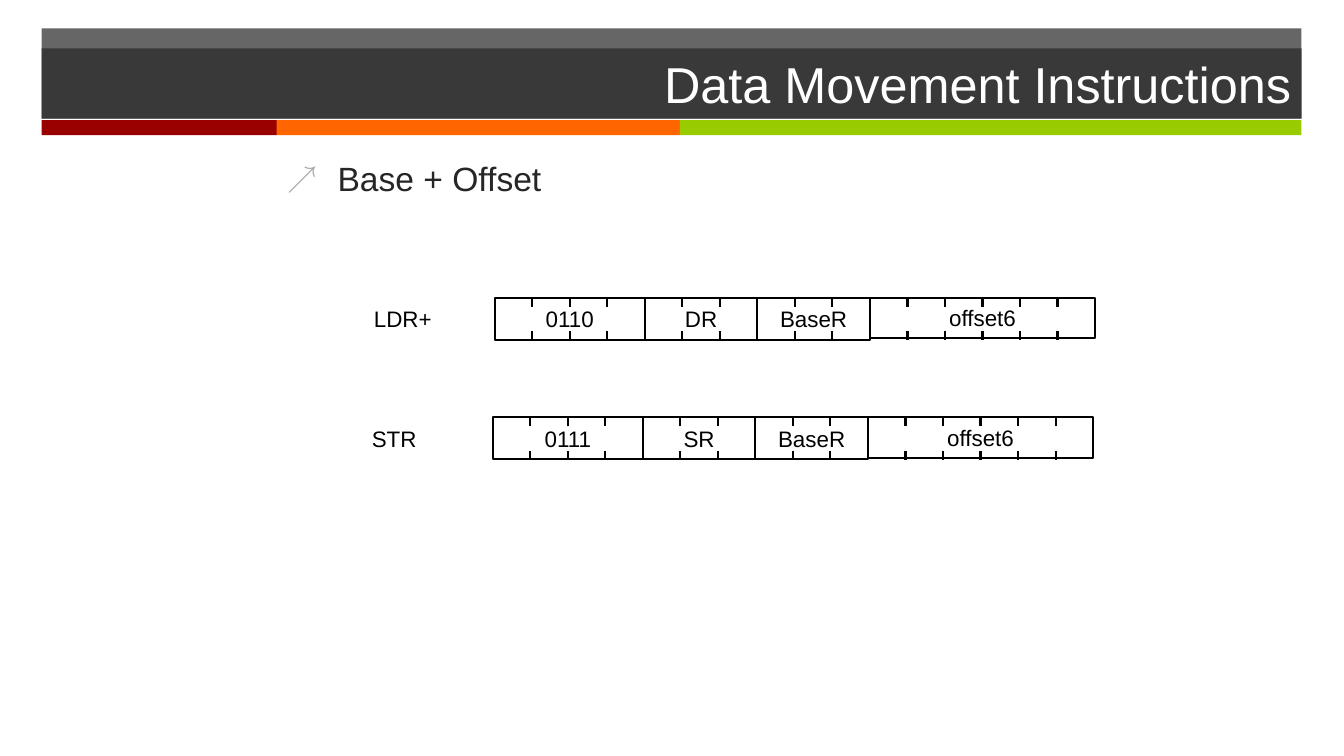
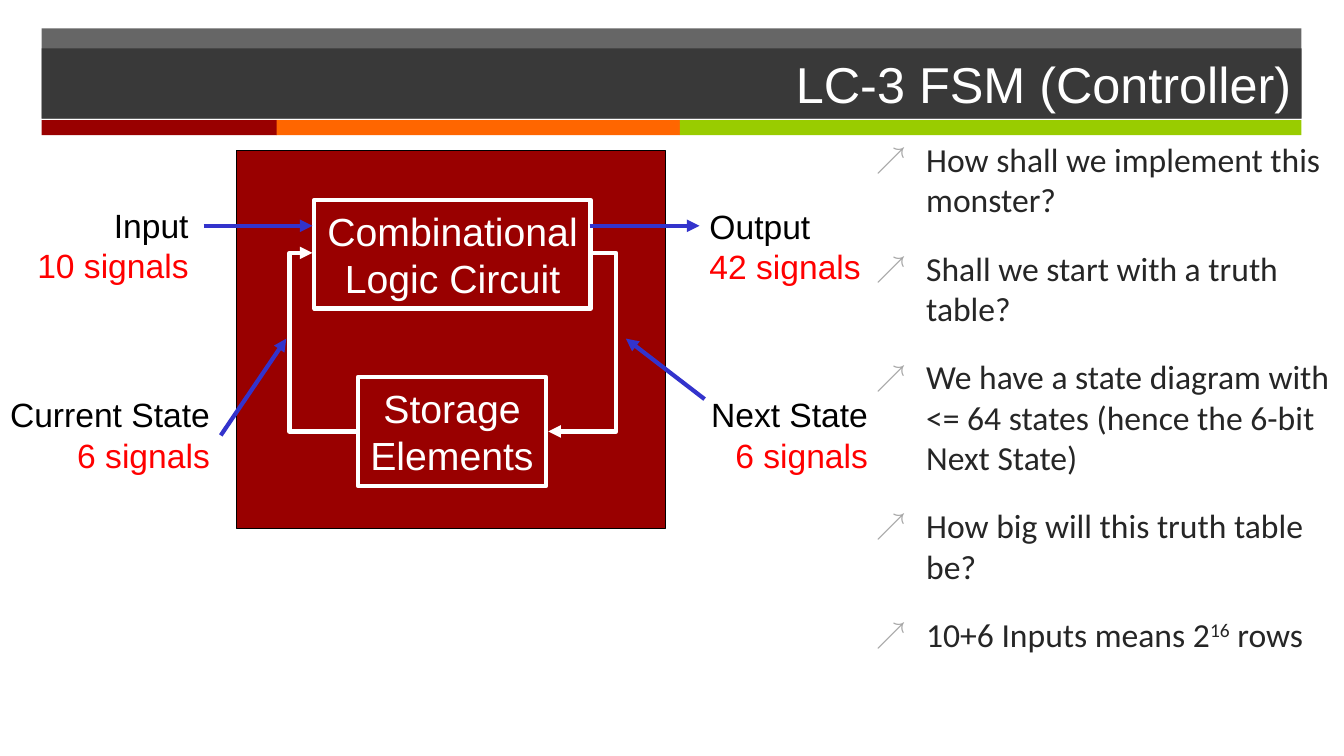
from itertools import accumulate

from pptx import Presentation
from pptx.dml.color import RGBColor
from pptx.enum.shapes import MSO_CONNECTOR as Link, MSO_SHAPE as Preset
from pptx.enum.text import MSO_ANCHOR as Anchor, PP_ALIGN as Align
from pptx.oxml.ns import qn
from pptx.util import Pt
from lxml.etree import SubElement

DARK = RGBColor(0x26, 0x26, 0x26)
MAROON = RGBColor(0x99, 0x00, 0x00)
ORANGE = RGBColor(0xFF, 0x66, 0x00)
GREEN = RGBColor(0x99, 0xCC, 0x00)
BLACK = RGBColor(0x00, 0x00, 0x00)
WHITE = RGBColor(0xFF, 0xFF, 0xFF)
RED = RGBColor(0xFF, 0x00, 0x00)
BLUE = RGBColor(0x33, 0x33, 0xCC)
BULLET_GRAY = "A6A6A6"

# Content: boxes are (left, top, width, height) in points
TITLE_BOX = (29.7, 34.5, 900, 50.2)
TOP_BAND = (29.7, 20.3, 900, 64.4)
STRIPES = [(MAROON, 168), (ORANGE, 288), (GREEN, 444)]

MOVEMENT_TITLE = "Data Movement Instructions"
MOVEMENT_POINTS = ["Base + Offset"]
INSTRUCTIONS = [
    # name, name left, fields left, top, fields as (text, bits)
    ("LDR+", 260, 353.4, 212.6,
     [("0110", 4), ("DR", 3), ("BaseR", 3), ("offset6", 6)]),
    ("STR", 258.5, 352, 298,
     [("0111", 4), ("SR", 3), ("BaseR", 3), ("offset6", 6)]),
]
BIT_WIDTH = 26.8
FIELD_HEIGHT, OFFSET_HEIGHT = 30.2, 29
TICK, TICK_SPAN = 6.5, 30.6

FSM_TITLE = "LC-3 FSM (Controller)"
FSM_POINTS = [
    "How shall we implement this monster?",
    "Shall we start with a truth table?",
    "We have a state diagram with <= 64 states (hence the 6-bit Next State)",
    "How big will this truth table be?",
    ["10+6 Inputs means 2", ("16", {"raised": True}), " rows"],
]
MACHINE_BOX = (169.2, 107.3, 306, 270)
BLOCKS = [
    (["Combinational", "Logic Circuit"], (224.6, 142.6, 197.3, 77.8)),
    (["Storage", "Elements"], (255.6, 269.3, 134.6, 77.8)),
]
FEEDBACK = [
    # start, end, bend position
    ((423.4, 180.7), (391.7, 308.2), -0.53),
    ((254.2, 308.2), (223.2, 180.7), 1.53),
]
ARROWS = [
    ((421.2, 161.3), (499.7, 161.3)),
    ((145.4, 161.3), (223.2, 161.3)),
    ((157.7, 311), (204.5, 241.9)),
    ((503.3, 285.1), (447.1, 241.9)),
]
SIGNALS = [
    ("Input", "10 signals", (18, 142.6, 123.8, 65.5), Align.RIGHT),
    ("Output", "42 signals", (499.7, 143.3, 123.8, 65.5), Align.LEFT),
    ("Current State", "6 signals", (-1.4, 278, 158.4, 65.5), Align.RIGHT),
    ("Next State", "6 signals", (499.7, 278, 127.4, 65.5), Align.RIGHT),
]


def points(values):
    return [Pt(value) for value in values]


def add_bullet(paragraph):
    properties = paragraph._p.get_or_add_pPr()
    properties.set("marL", str(Pt(36)))
    properties.set("indent", str(-Pt(36)))
    color = SubElement(properties, qn("a:buClr"))
    SubElement(color, qn("a:srgbClr"), val=BULLET_GRAY)
    SubElement(properties, qn("a:buSzPct"), val="90000")
    SubElement(properties, qn("a:buFont"), typeface="Arial")
    SubElement(properties, qn("a:buChar"), char="↗")


def write(shape, paragraphs, size=24, color=BLACK, font="Arial", align=Align.LEFT,
          anchor=Anchor.TOP, wrap=False, bullets=False, gap=0):
    """Fill a shape; a paragraph is a string or a list of runs."""
    frame = shape.text_frame
    frame.word_wrap = wrap
    frame.vertical_anchor = anchor
    for index, content in enumerate(paragraphs):
        paragraph = frame.add_paragraph() if index else frame.paragraphs[0]
        if index and gap:
            paragraph.space_before = Pt(gap)
        paragraph.alignment = align
        if bullets:
            add_bullet(paragraph)
        for part in [content] if isinstance(content, str) else content:
            text, changes = (part, {}) if isinstance(part, str) else part
            run = paragraph.add_run()
            run.text = text
            run.font.name = font
            run.font.size = Pt(size)
            run.font.color.rgb = changes.get("color", color)
            if changes.get("raised"):
                run.font._element.set("baseline", "30000")


def fill_solid(shape, color, opacity=100):
    shape.fill.solid()
    shape.fill.fore_color.rgb = color
    if opacity < 100:
        rgb = shape._element.spPr.find(qn("a:solidFill")).find(qn("a:srgbClr"))
        SubElement(rgb, qn("a:alpha"), val=str(opacity * 1000))


def add_box(slide, box, fill=None, line=None, width=1.5, opacity=100):
    shape = slide.shapes.add_shape(Preset.RECTANGLE, *points(box))
    shape.shadow.inherit = False
    if fill is None:
        shape.fill.background()
    else:
        fill_solid(shape, fill, opacity)
    if line is None:
        shape.line.fill.background()
    else:
        shape.line.color.rgb = line
        shape.line.width = Pt(width)
    return shape


def add_line(slide, start, end, color=BLACK, width=1.5, arrow=False, bend=None):
    kind = Link.STRAIGHT if bend is None else Link.ELBOW
    line = slide.shapes.add_connector(kind, *points(start + end))
    line.line.color.rgb = color
    line.line.width = Pt(width)
    properties = line._element.spPr
    if arrow:
        SubElement(properties.find(qn("a:ln")), qn("a:tailEnd"), type="triangle")
    if bend is not None:
        geometry = properties.find(qn("a:prstGeom"))
        guides = geometry.find(qn("a:avLst"))
        if guides is None:
            guides = SubElement(geometry, qn("a:avLst"))
        SubElement(guides, qn("a:gd"), name="adj1", fmla=f"val {round(bend * 100000)}")
    SubElement(properties, qn("a:effectLst"))


def add_text(slide, box, paragraphs, **text_format):
    write(slide.shapes.add_textbox(*points(box)), paragraphs, **text_format)


def add_points(slide, box, paragraphs, font):
    add_text(slide, box, paragraphs, font=font, color=DARK, wrap=True,
             bullets=True, gap=20)


def move_bands_to_layout(slide):
    """Draw the bands once and hand them to the layout that all slides use."""
    bands = [add_box(slide, TOP_BAND, DARK, opacity=70)]
    left = TOP_BAND[0]
    for color, width in STRIPES:
        bands.append(add_box(slide, (left, 85.9, width, 10.6), color))
        left += width
    for band in bands:
        slide.slide_layout.shapes.element.append(band._element)


def add_titled_slide(presentation, text):
    slide = presentation.slides.add_slide(presentation.slide_layouts[5])
    title = slide.shapes.title
    title.left, title.top, title.width, title.height = points(TITLE_BOX)
    fill_solid(title, DARK, 70)
    write(title, [text], size=36, color=WHITE, align=Align.RIGHT,
          anchor=Anchor.MIDDLE, wrap=True)
    return slide


def add_instruction(slide, name, name_left, left, top, fields):
    add_text(slide, (name_left, top + 1.8, 56, 26.6), [name], size=16)
    ends = accumulate(bits for _, bits in fields)
    for (text, bits), end in zip(fields, ends):
        field_left = left + (end - bits) * BIT_WIDTH
        height = OFFSET_HEIGHT if text == "offset6" else FIELD_HEIGHT
        field = add_box(slide, (field_left, top, bits * BIT_WIDTH, height), line=BLACK)
        write(field, [text], size=16, align=Align.CENTER, anchor=Anchor.MIDDLE)
        for bit in range(1, bits):
            x = field_left + bit * BIT_WIDTH
            for y in (top, top + TICK_SPAN - TICK):
                add_line(slide, (x, y), (x, y + TICK))


def build_movement(presentation):
    slide = add_titled_slide(presentation, MOVEMENT_TITLE)
    move_bands_to_layout(slide)
    add_points(slide, (198, 109.4, 666, 386), MOVEMENT_POINTS, "Arial")
    for instruction in INSTRUCTIONS:
        add_instruction(slide, *instruction)


def build_controller(presentation):
    slide = add_titled_slide(presentation, FSM_TITLE)
    add_box(slide, MACHINE_BOX, MAROON, BLACK, 0.75)
    add_points(slide, (618.5, 95.8, 341.5, 444.2), FSM_POINTS, "Calibri")
    for lines, box in BLOCKS:
        block = add_box(slide, box, line=WHITE, width=3)
        write(block, lines, size=28, color=WHITE, align=Align.CENTER,
              anchor=Anchor.MIDDLE)
    for start, end, bend in FEEDBACK:
        add_line(slide, start, end, WHITE, 3, arrow=True, bend=bend)
    for start, end in ARROWS:
        add_line(slide, start, end, BLUE, 3, arrow=True)
    for name, count, box, align in SIGNALS:
        add_text(slide, box, [name, [(count, {"color": RED})]], align=align)


def main():
    presentation = Presentation()
    presentation.slide_width, presentation.slide_height = Pt(960), Pt(540)
    build_movement(presentation)
    build_controller(presentation)
    presentation.save("out.pptx")


if __name__ == "__main__":
    main()
